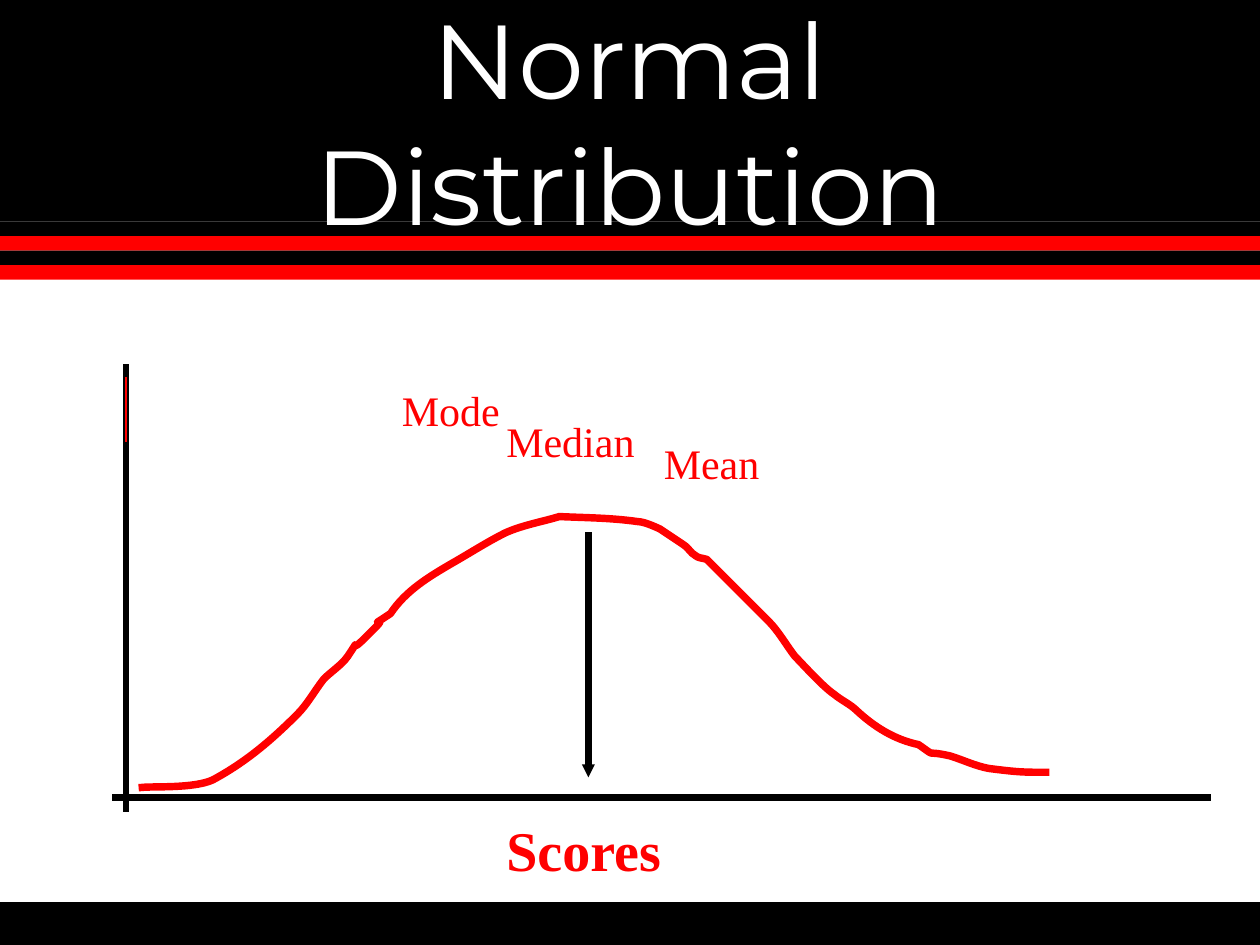
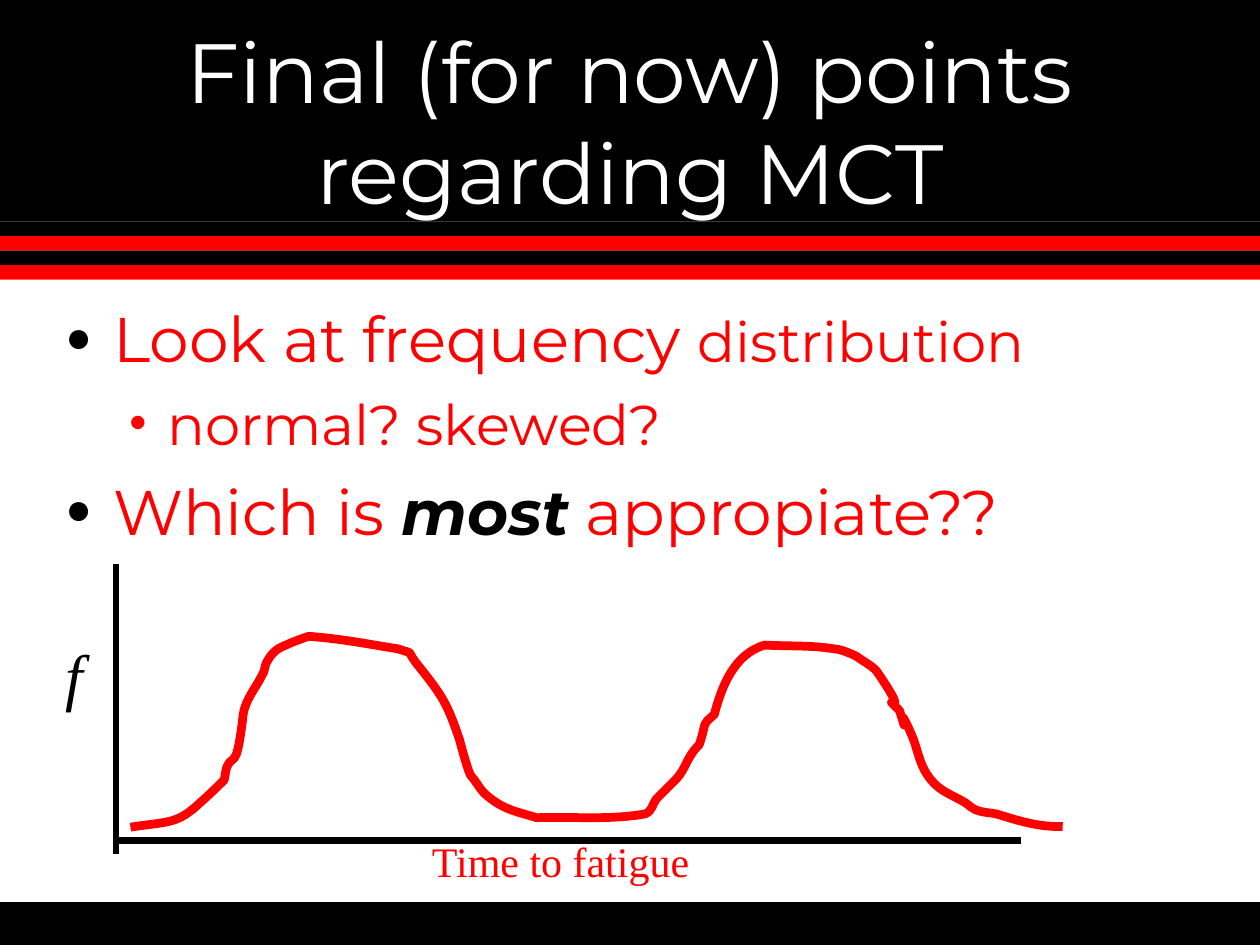
from dataclasses import dataclass

from lxml.etree import SubElement
from pptx import Presentation
from pptx.dml.color import RGBColor
from pptx.enum.shapes import MSO_CONNECTOR, MSO_SHAPE
from pptx.enum.text import MSO_ANCHOR, PP_ALIGN
from pptx.oxml.ns import qn
from pptx.util import Inches, Pt


@dataclass(frozen=True)
class Theme:
    black: RGBColor = RGBColor(0, 0, 0)
    red: RGBColor = RGBColor(255, 0, 0)
    white: RGBColor = RGBColor(255, 255, 255)
    gray: RGBColor = RGBColor(0x96, 0x96, 0x96)
    heading_font: str = "Montserrat"
    label_font: str = "Times New Roman"
    title_large: int = 60
    title_small: int = 48
    body: int = 36
    sub_body: int = 32
    label: int = 24


THEME = Theme()
SLIDE_WIDTH, SLIDE_HEIGHT = 10, 7.5
HEADER_HEIGHT, STRIPES_BOTTOM, STRIPE_COUNT = 1.76, 2.22, 4

# Each curve is a start point followed by Bezier segments (two controls, one end)
NORMAL_START = (1.13, 6.25)
NORMAL_CURVE = [
    (1.21, 6.24, 1.54, 6.26, 1.69, 6.19), (1.95, 6.05, 2.15, 5.88, 2.36, 5.67),
    (2.44, 5.59, 2.5, 5.48, 2.57, 5.39), (2.63, 5.33, 2.71, 5.28, 2.76, 5.21),
    (2.9, 5, 2.72, 5.25, 2.94, 5.02), (3.14, 4.83, 2.86, 5.03, 3.1, 4.87),
    (3.22, 4.69, 3.4, 4.58, 3.59, 4.47), (3.73, 4.39, 3.87, 4.3, 4.01, 4.23),
    (4.14, 4.17, 4.31, 4.14, 4.44, 4.1), (4.65, 4.11, 4.85, 4.11, 5.06, 4.14),
    (5.12, 4.14, 5.24, 4.2, 5.24, 4.2), (5.3, 4.24, 5.36, 4.28, 5.42, 4.32),
    (5.46, 4.34, 5.48, 4.39, 5.52, 4.41), (5.54, 4.43, 5.58, 4.43, 5.61, 4.44),
    (5.77, 4.6, 5.94, 4.77, 6.1, 4.93), (6.18, 5.01, 6.24, 5.12, 6.31, 5.21),
    (6.37, 5.27, 6.53, 5.45, 6.62, 5.51), (6.68, 5.56, 6.75, 5.59, 6.8, 5.64),
    (6.94, 5.77, 7.1, 5.87, 7.29, 5.91), (7.45, 6.02, 7.32, 5.95, 7.54, 6),
    (7.64, 6.03, 7.74, 6.08, 7.85, 6.1), (8.09, 6.13, 8.12, 6.13, 8.3, 6.13),
]
BIMODAL_START = (1.07, 6.56)
BIMODAL_CURVE = [
    (1.34, 6.52, 1.41, 6.54, 1.59, 6.37), (1.66, 6.31, 1.78, 6.19, 1.78, 6.19),
    (1.79, 6.15, 1.79, 6.1, 1.81, 6.07), (1.82, 6.04, 1.86, 6.03, 1.87, 6),
    (1.9, 5.95, 1.93, 5.68, 1.93, 5.67), (1.95, 5.55, 2.03, 5.46, 2.08, 5.36),
    (2.1, 5.33, 2.1, 5.3, 2.11, 5.27), (2.15, 5.19, 2.19, 5.15, 2.27, 5.12),
    (2.33, 5.09, 2.45, 5.05, 2.45, 5.05), (2.71, 5.07, 2.91, 5.11, 3.16, 5.15),
    (3.3, 5.2, 3.21, 5.14, 3.31, 5.27), (3.51, 5.52, 3.55, 5.58, 3.65, 5.88),
    (3.66, 5.92, 3.72, 6.14, 3.74, 6.16), (3.78, 6.2, 3.81, 6.27, 3.86, 6.31),
    (4, 6.43, 4.1, 6.44, 4.26, 6.49), (4.55, 6.48, 4.83, 6.51, 5.12, 6.46),
    (5.17, 6.45, 5.18, 6.38, 5.21, 6.34), (5.26, 6.29, 5.31, 6.24, 5.36, 6.19),
    (5.45, 6.1, 5.44, 6.02, 5.55, 5.91), (5.62, 5.7, 5.56, 5.77, 5.67, 5.67),
    (5.73, 5.44, 5.83, 5.19, 6.07, 5.12), (6.25, 5.13, 6.44, 5.12, 6.62, 5.15),
    (6.68, 5.15, 6.8, 5.21, 6.8, 5.21), (6.85, 5.25, 6.92, 5.28, 6.96, 5.33),
    (7.27, 5.78, 6.95, 5.45, 7.14, 5.64), (7.24, 5.96, 7.08, 5.48, 7.23, 5.82),
    (7.29, 5.95, 7.29, 6.07, 7.39, 6.19), (7.46, 6.28, 7.56, 6.31, 7.66, 6.37),
    (7.69, 6.39, 7.72, 6.42, 7.75, 6.43), (7.8, 6.45, 7.86, 6.45, 7.91, 6.46),
    (8.07, 6.51, 8.23, 6.56, 8.4, 6.56),
]


def set_font(font, name, size, color, bold=False, italic=False):
    font.name, font.size = name, Pt(size)
    font.color.rgb = color
    font.bold, font.italic = bold, italic


def add_band(slide, top, height, color):
    band = slide.shapes.add_shape(MSO_SHAPE.RECTANGLE, 0, Inches(top),
                                  Inches(SLIDE_WIDTH), Inches(height))
    band.shadow.inherit = False
    band.fill.solid()
    band.fill.fore_color.rgb = color
    band.line.fill.background()


def add_text_box(slide, left, top, width, height, wrap=True):
    box = slide.shapes.add_textbox(Inches(left), Inches(top), Inches(width), Inches(height))
    box.text_frame.word_wrap = wrap
    return box.text_frame


def add_label(slide, text, left, top, width, height=0.5, size=THEME.label,
              color=THEME.red, wrap=True, **style):
    paragraph = add_text_box(slide, left, top, width, height, wrap).paragraphs[0]
    paragraph.text = text
    set_font(paragraph.font, THEME.label_font, size, color, **style)


def add_title(slide, text, size):
    frame = add_text_box(slide, 0.75, 0.33, 8.5, 1.25)
    frame.vertical_anchor = MSO_ANCHOR.MIDDLE
    paragraph = frame.paragraphs[0]
    paragraph.text = text
    paragraph.alignment = PP_ALIGN.CENTER
    set_font(paragraph.font, THEME.heading_font, size, THEME.white)


def style_stroke(shape, color, width):
    """Set colour, width, square ends and round joins; return the line element."""
    shape.line.color.rgb = color
    shape.line.width = Pt(width)
    stroke = shape.element.spPr.get_or_add_ln()
    stroke.set("cap", "sq")
    SubElement(stroke, qn("a:round"))
    return stroke


def add_line(slide, start, end, color=THEME.black, width=4, arrow=False):
    line = slide.shapes.add_connector(MSO_CONNECTOR.STRAIGHT,
                                      *(Inches(value) for value in start + end))
    stroke = style_stroke(line, color, width)
    if arrow:
        SubElement(stroke, qn("a:tailEnd"), type="triangle", w="sm", len="sm")
    SubElement(line.element.spPr, qn("a:effectLst"))


def add_curve(slide, start, segments, width):
    builder = slide.shapes.build_freeform(Inches(start[0]), Inches(start[1]))
    builder.add_line_segments(
        [(Inches(segment[i]), Inches(segment[i + 1])) for segment in segments for i in (0, 2, 4)],
        close=False)
    curve = builder.convert_to_shape()
    # Join every three points into one Bezier segment
    outline = next(curve.element.iter(qn("a:path")))
    corners = outline.findall(qn("a:lnTo"))
    for index in range(0, len(corners), 3):
        bezier = SubElement(outline, qn("a:cubicBezTo"))
        for corner in corners[index:index + 3]:
            bezier.append(corner[0])
            outline.remove(corner)
    curve.shadow.inherit = False
    curve.fill.background()
    style_stroke(curve, THEME.red, width)


def set_bullet(paragraph, character, color, percent, indent, hanging):
    properties = paragraph._p.get_or_add_pPr()
    properties.set("marL", str(Inches(indent)))
    properties.set("indent", str(-Inches(hanging)))
    bullet_color = SubElement(properties, qn("a:buClr"))
    SubElement(bullet_color, qn("a:srgbClr"), val=str(color))
    SubElement(properties, qn("a:buSzPct"), val=str(percent * 1000))
    SubElement(properties, qn("a:buFont"), typeface=THEME.label_font)
    SubElement(properties, qn("a:buChar"), char=character)


def add_bullets(slide, items):
    """Each item is (level, space before, runs); a run is (text, size, color, emphasis)."""
    frame = add_text_box(slide, 0.42, 2.33, 9.17, 4.5)
    for index, (level, space, runs) in enumerate(items):
        paragraph = frame.add_paragraph() if index else frame.paragraphs[0]
        paragraph.level = level
        paragraph.space_before = Pt(space)
        if level:
            set_bullet(paragraph, "•", THEME.red, 100, 0.81, 0.31)
        else:
            set_bullet(paragraph, "●", THEME.black, 70, 0.38, 0.38)
        for text, size, color, emphasis in runs:
            run = paragraph.add_run()
            run.text = text
            set_font(run.font, THEME.heading_font, size, color, emphasis, emphasis)


def add_base_slide(presentation, title, title_size):
    slide = presentation.slides.add_slide(presentation.slide_layouts[6])
    slide.background.fill.solid()
    slide.background.fill.fore_color.rgb = THEME.gray
    # Content panel, footer and header
    add_band(slide, 1.5, 6, THEME.white)
    add_band(slide, 7.16, 0.34, THEME.black)
    add_band(slide, 0, HEADER_HEIGHT, THEME.black)
    # Alternating stripes under the header
    stripe_height = (STRIPES_BOTTOM - HEADER_HEIGHT) / STRIPE_COUNT
    for index in range(STRIPE_COUNT):
        color = THEME.red if index % 2 else THEME.black
        add_band(slide, HEADER_HEIGHT + index * stripe_height, stripe_height, color)
    add_title(slide, title, title_size)
    return slide


def build_normal_slide(presentation):
    slide = add_base_slide(presentation, "Normal Distribution", THEME.title_large)
    # Vertical axis
    add_line(slide, (1, 2.92), (1, 6.42))
    add_line(slide, (1, 3), (1, 3.5), THEME.red, 1)
    # Averages and axis label
    add_label(slide, "Median", 3.92, 3.25, 1.5)
    add_label(slide, "Mode", 3.09, 3, 0.98, wrap=False)
    add_label(slide, "Mean", 5.17, 3.42, 0.96)
    add_label(slide, "Scores", 3.92, 6.42, 1.66, 0.64, THEME.sub_body, bold=True)
    # Curve, centre arrow and horizontal axis
    add_curve(slide, NORMAL_START, NORMAL_CURVE, 4.25)
    add_line(slide, (4.67, 4.25), (4.67, 6.17), width=3.75, arrow=True)
    add_line(slide, (0.92, 6.33), (9.58, 6.33))


def build_final_points_slide(presentation):
    slide = add_base_slide(presentation, "Final (for now) points regarding MCT",
                           THEME.title_small)
    add_bullets(slide, [
        (0, 0, [("Look at frequency ", THEME.body, THEME.red, False),
                ("distribution", THEME.sub_body, THEME.red, False)]),
        (1, 8, [("normal? skewed?", THEME.sub_body, THEME.red, False)]),
        (0, 9, [("Which is ", THEME.body, THEME.red, False),
                ("most", THEME.body, THEME.black, True),
                (" appropiate??", THEME.body, THEME.red, False)]),
    ])
    # Axes with their labels
    add_line(slide, (0.92, 4.5), (0.92, 6.75), width=3.75)
    add_line(slide, (0.92, 6.67), (8.08, 6.67), width=3.75)
    add_label(slide, "f", 0.42, 5, 0.67, 0.7, THEME.body, THEME.black, italic=True)
    add_label(slide, "Time to fatigue", 3.33, 6.58, 2.25, wrap=False)
    # Curve with two peaks
    add_curve(slide, BIMODAL_START, BIMODAL_CURVE, 5)


def main():
    presentation = Presentation()
    presentation.slide_width = Inches(SLIDE_WIDTH)
    presentation.slide_height = Inches(SLIDE_HEIGHT)
    build_normal_slide(presentation)
    build_final_points_slide(presentation)
    presentation.save("out.pptx")


if __name__ == "__main__":
    main()
